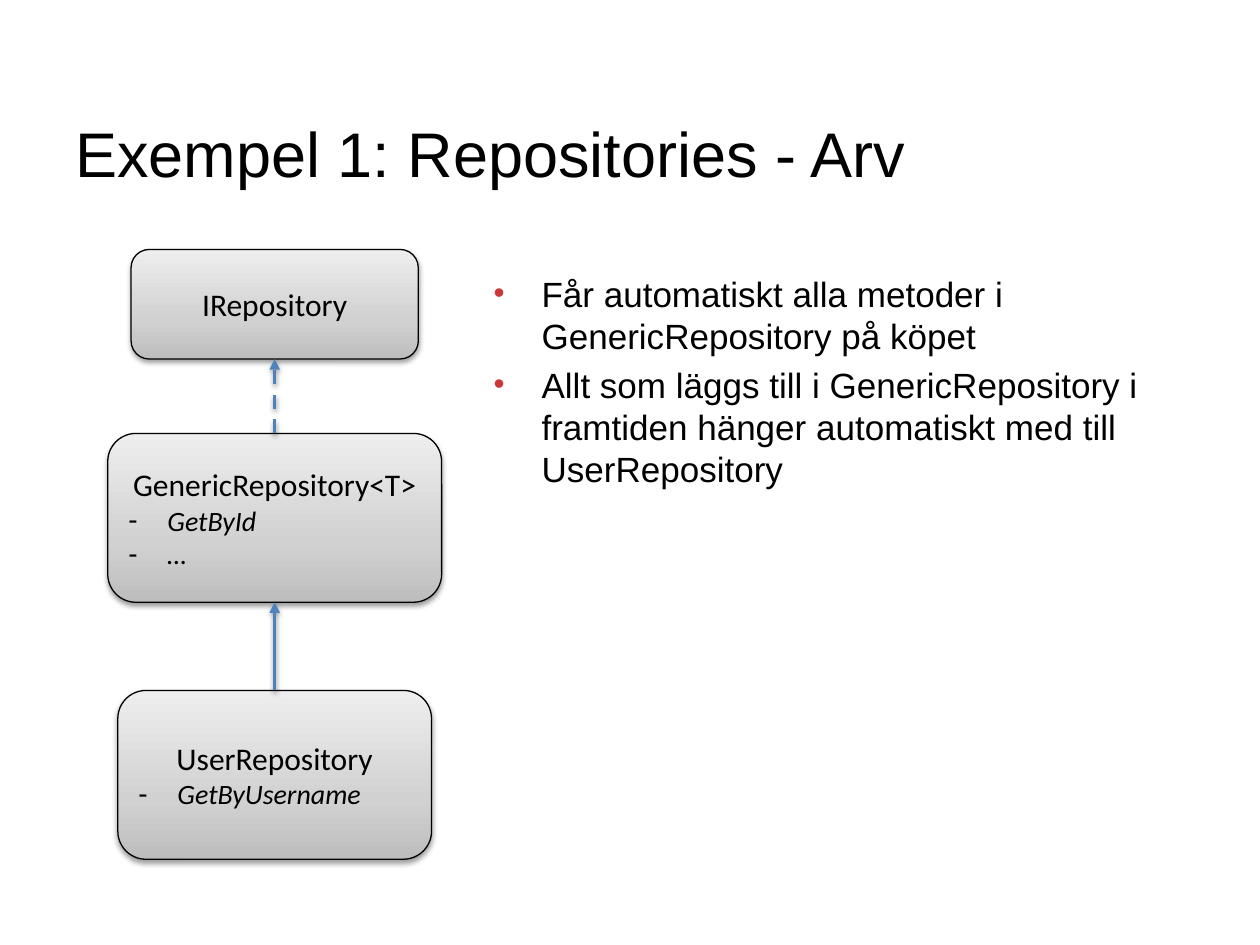
import copy
from dataclasses import dataclass

import lxml.etree
import pptx
import pptx.dml.color
import pptx.enum.dml
import pptx.enum.shapes
import pptx.enum.text
import pptx.oxml.ns
import pptx.util

Inches = pptx.util.Inches
Pt = pptx.util.Pt
qn = pptx.oxml.ns.qn
Align = pptx.enum.text.PP_ALIGN
Anchor = pptx.enum.text.MSO_ANCHOR


@dataclass(frozen=True)
class Theme:
    text: str = "000000"
    outline: str = "000000"
    arrow: str = "4F81BD"
    bullet: str = "CB363B"
    box_stops: tuple = ((0, "BDBDBD"), (0.35, "D1D1D1"), (1, "EEEEEE"))
    body_font: str = "Arial"
    box_font: str = "Calibri"
    title_size: int = 36
    body_size: int = 20
    class_size: int = 18
    member_size: int = 16


THEME = Theme()
CENTER_X = 2.18


def rgb(color):
    return pptx.dml.color.RGBColor.from_string(color)


def add_child(parent, tag, **attrs):
    e = lxml.etree.SubElement(parent, qn(tag))
    for name, value in attrs.items():
        e.set(name, str(value))
    return e


def add_run(p, text, font, size, italic=False):
    r = p.add_run()
    r.text = text
    r.font.name = font
    r.font.size = Pt(size)
    r.font.italic = italic
    r.font.color.rgb = rgb(THEME.text)


def set_bullet(p, char, indent, color=None, percent=100):
    pPr = p._p.get_or_add_pPr()
    pPr.set("marL", str(Inches(indent)))
    pPr.set("indent", str(-Inches(indent)))
    if color:
        add_child(add_child(pPr, "a:buClr"), "a:srgbClr", val=color)
    add_child(pPr, "a:buSzPct", val=percent * 1000)
    add_child(pPr, "a:buFont", typeface=THEME.body_font)
    add_child(pPr, "a:buChar", char=char)


def add_shadow(spPr):
    for old in spPr.findall(qn("a:effectLst")):
        spPr.remove(old)
    shadow = add_child(add_child(spPr, "a:effectLst"), "a:outerShdw",
                       blurRad=Pt(3.1), dist=Pt(1.6), dir=5400000, rotWithShape=0)
    color = add_child(shadow, "a:srgbClr", val=THEME.outline)
    add_child(color, "a:alpha", val=38000)


def fill_gradient(fill):
    fill.gradient()
    fill.gradient_angle = 90
    gs = fill.gradient_stops[0]._gs
    gs.addnext(copy.deepcopy(gs))
    for stop, (position, color) in zip(fill.gradient_stops, THEME.box_stops):
        stop.position = position
        stop.color.rgb = rgb(color)


def add_text_box(s, left, top, width, height, anchor):
    tf = s.shapes.add_textbox(Inches(left), Inches(top), Inches(width), Inches(height)).text_frame
    tf.word_wrap = True
    tf.vertical_anchor = anchor
    return tf


def add_title(s, text):
    tf = add_text_box(s, 0.5, 0.58, 9, 1.25, Anchor.MIDDLE)
    add_run(tf.paragraphs[0], text, THEME.body_font, THEME.title_size)


def add_bullets(s, items):
    tf = add_text_box(s, 3.82, 2.11, 5.68, 4.56, Anchor.TOP)
    for i, text in enumerate(items):
        p = tf.add_paragraph() if i else tf.paragraphs[0]
        p.space_before = Pt(THEME.body_size * 0.2)
        set_bullet(p, "•", 0.38, THEME.bullet, 90)
        add_run(p, text, THEME.body_font, THEME.body_size)


def add_class_box(s, top, width, height, name, members):
    sp = s.shapes.add_shape(pptx.enum.shapes.MSO_SHAPE.ROUNDED_RECTANGLE,
                            Inches(CENTER_X - width / 2), Inches(top),
                            Inches(width), Inches(height))
    fill_gradient(sp.fill)
    sp.line.color.rgb = rgb(THEME.outline)
    sp.line.width = Pt(0.75)
    add_shadow(sp._element.spPr)
    tf = sp.text_frame
    tf.word_wrap = True
    tf.vertical_anchor = Anchor.MIDDLE
    p = tf.paragraphs[0]
    p.alignment = Align.CENTER
    add_run(p, name, THEME.box_font, THEME.class_size)
    for member in members:
        p = tf.add_paragraph()
        p.alignment = Align.LEFT
        set_bullet(p, "-", 0.31)
        add_run(p, member, THEME.box_font, THEME.member_size, italic=True)
    return sp


def add_inheritance(s, child, parent, dashed=False):
    line = s.shapes.add_connector(pptx.enum.shapes.MSO_CONNECTOR.STRAIGHT, 0, 0, 0, 0)
    line.begin_connect(child, 0)
    line.end_connect(parent, 2)
    line.line.color.rgb = rgb(THEME.arrow)
    line.line.width = Pt(2)
    if dashed:
        line.line.dash_style = pptx.enum.dml.MSO_LINE.DASH
    add_child(line.line._get_or_add_ln(), "a:tailEnd", type="triangle")
    add_shadow(line._element.spPr)


def main():
    prs = pptx.Presentation()
    prs.slide_width = Inches(10)
    prs.slide_height = Inches(7.5)
    s = prs.slides.add_slide(prs.slide_layouts[6])
    add_title(s, "Exempel 1: Repositories - Arv")
    interface = add_class_box(s, 1.98, 2.28, 0.87, "IRepository", [])
    generic = add_class_box(s, 3.44, 2.65, 1.34, "GenericRepository<T>", ["GetById", "…"])
    user = add_class_box(s, 5.48, 2.49, 1.34, "UserRepository", ["GetByUsername"])
    add_inheritance(s, generic, interface, dashed=True)
    add_inheritance(s, user, generic)
    add_bullets(s, [
        "Får automatiskt alla metoder i GenericRepository på köpet",
        "Allt som läggs till i GenericRepository i framtiden hänger automatiskt med till UserRepository",
    ])
    prs.save("out.pptx")


main()
